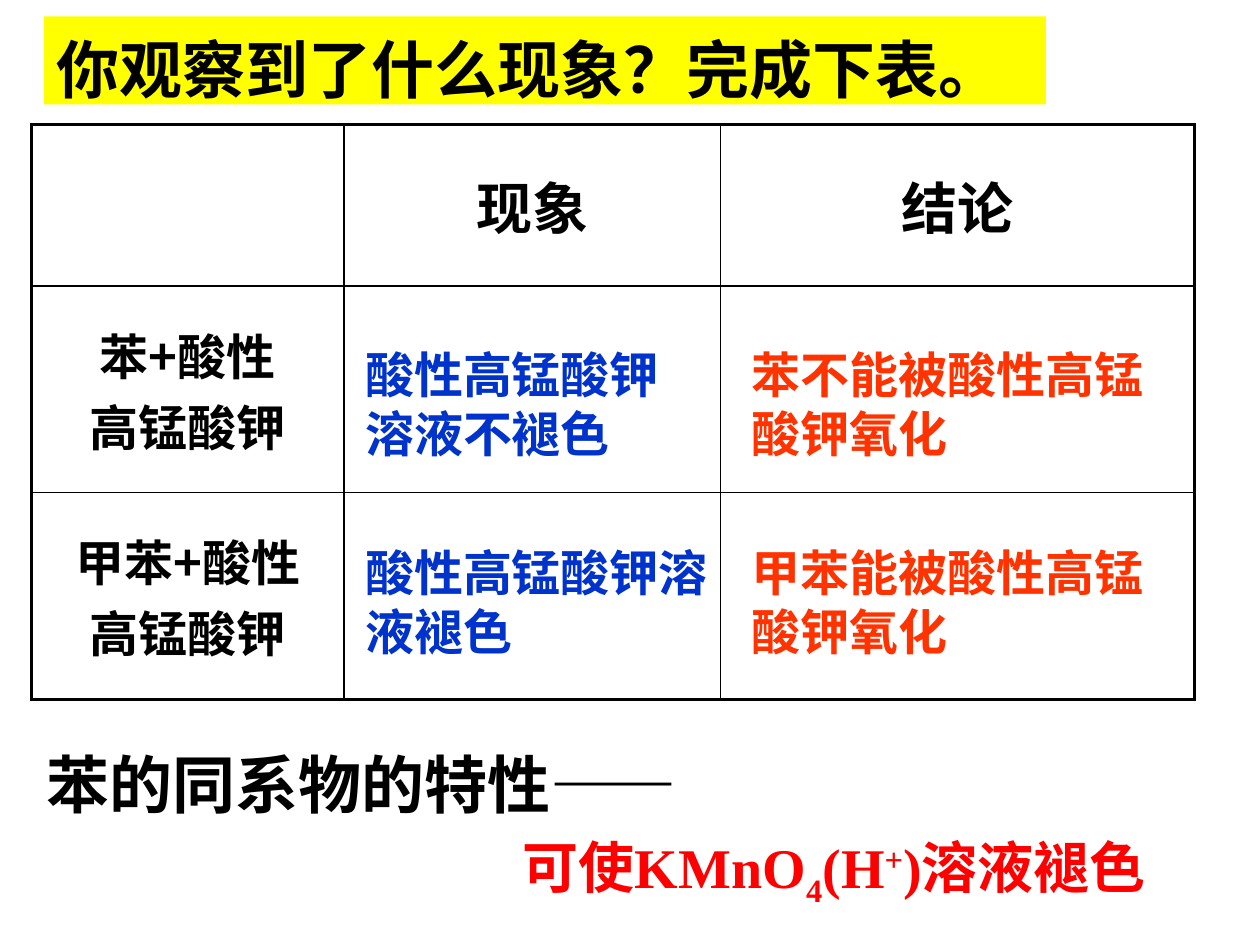
from lxml.etree import SubElement
from pptx import Presentation
from pptx.dml.color import RGBColor
from pptx.enum.shapes import MSO_SHAPE
from pptx.enum.text import MSO_ANCHOR, PP_ALIGN
from pptx.oxml import parse_xml
from pptx.oxml.ns import nsdecls, qn
from pptx.util import Inches, Pt

BLACK = RGBColor(0x00, 0x00, 0x00)
YELLOW = RGBColor(0xFF, 0xFF, 0x00)
BLUE = RGBColor(0x00, 0x33, 0xCC)
ORANGE = RGBColor(0xFF, 0x33, 0x00)
RED = RGBColor(0xFF, 0x00, 0x00)
CHINESE_FONT = "Noto Sans CJK SC"

COLUMN_WIDTHS = (2.48, 2.99, 3.76)
ROW_HEIGHTS = (1.28, 1.64, 1.64)
CELL_TEXTS = {
    (0, 1): ("现象", 32),
    (0, 2): ("结论", 32),
    (1, 0): ("苯+酸性\n高锰酸钾", 28),
    (2, 0): ("甲苯+酸性\n高锰酸钾", 28),
}
# Left, top, width, text, colour
ANSWERS = (
    (2.8, 2.64, 2.95, "酸性高锰酸钾\n溶液不褪色", BLUE),
    (2.8, 4.21, 2.95, "酸性高锰酸钾溶液褪色", BLUE),
    (5.87, 2.64, 3.5, "苯不能被酸性高锰酸钾氧化", ORANGE),
    (5.87, 4.21, 3.5, "甲苯能被酸性高锰酸钾氧化", ORANGE),
)


def write_text(text_frame, text, size=28, font=CHINESE_FONT, color=BLACK,
               align=PP_ALIGN.LEFT, line_spacing=None):
    """Write text given as a string or as (string, baseline percent) parts."""
    parts = [(text, 0)] if isinstance(text, str) else text
    paragraph = text_frame.paragraphs[0]
    for content, baseline in parts:
        for number, line in enumerate(content.split("\n")):
            if number:
                paragraph = text_frame.add_paragraph()
            paragraph.alignment = align
            paragraph.line_spacing = line_spacing
            run = paragraph.add_run()
            run.text = line
            run.font.size = Pt(size)
            run.font.bold = True
            run.font.name = font
            run.font.color.rgb = color
            properties = run._r.get_or_add_rPr()
            SubElement(properties, qn("a:ea")).set("typeface", CHINESE_FONT)
            if baseline:
                properties.set("baseline", str(baseline * 1000))


def fill_box(shape, text, size=28, **text_format):
    """Set tight lines; the top margin makes up for the shortened ascent."""
    text_frame = shape.text_frame
    text_frame.word_wrap = True
    text_frame.vertical_anchor = MSO_ANCHOR.TOP
    text_frame.margin_top = Inches(0.05) + Pt(0.12 * size)
    text_frame.margin_bottom = 0
    write_text(text_frame, text, size=size, line_spacing=Pt(1.2 * size),
               **text_format)


def add_text(slide, left, top, width, height, text, **text_format):
    shape = slide.shapes.add_textbox(
        Inches(left), Inches(top), Inches(width), Inches(height))
    fill_box(shape, text, **text_format)


def add_title(slide):
    banner = slide.shapes.add_shape(
        MSO_SHAPE.RECTANGLE, Inches(0.35), Inches(0.13), Inches(7.95), Inches(0.7))
    banner.shadow.inherit = False
    banner.fill.solid()
    banner.fill.fore_color.rgb = YELLOW
    banner.line.fill.background()
    fill_box(banner, "你观察到了什么现象？完成下表。", size=36, font="Arial")


def set_borders(cell, widths):
    """Insert left, right, top and bottom lines ahead of the cell's fill."""
    properties = cell._tc.get_or_add_tcPr()
    for position, (side, width) in enumerate(zip("LRTB", widths)):
        properties.insert(position, parse_xml(
            f'<a:ln{side} {nsdecls("a")} w="{Pt(width)}"><a:solidFill>'
            f'<a:srgbClr val="{BLACK}"/></a:solidFill></a:ln{side}>'))


def add_observation_table(slide):
    frame = slide.shapes.add_table(
        len(ROW_HEIGHTS), len(COLUMN_WIDTHS), Inches(0.25), Inches(0.99),
        Inches(sum(COLUMN_WIDTHS)), Inches(sum(ROW_HEIGHTS)))
    table = frame.table
    table.first_row = False
    table.horz_banding = False
    for column, width in zip(table.columns, COLUMN_WIDTHS):
        column.width = Inches(width)
    for row, height in zip(table.rows, ROW_HEIGHTS):
        row.height = Inches(height)

    last_row, last_column = len(ROW_HEIGHTS) - 1, len(COLUMN_WIDTHS) - 1
    for row in range(last_row + 1):
        for column in range(last_column + 1):
            cell = table.cell(row, column)
            cell.fill.background()
            cell.vertical_anchor = MSO_ANCHOR.MIDDLE
            # Outer edges are twice as thick as inner ones
            outer = (column == 0, column == last_column, row == 0, row == last_row)
            set_borders(cell, [2 if edge else 1 for edge in outer])
            if (row, column) in CELL_TEXTS:
                text, size = CELL_TEXTS[row, column]
                write_text(cell.text_frame, text, size=size, align=PP_ALIGN.CENTER)


def main():
    presentation = Presentation()
    presentation.slide_width = Inches(10)
    presentation.slide_height = Inches(7.5)
    slide = presentation.slides.add_slide(presentation.slide_layouts[6])

    # Table and heading
    add_observation_table(slide)
    add_title(slide)

    # Answers over the table
    for left, top, width, text, color in ANSWERS:
        add_text(slide, left, top, width, 1.03, text, font="Arial", color=color)

    # Conclusion
    add_text(slide, 0.27, 5.81, 6.14, 0.7, "苯的同系物的特性——",
             size=36, font="Times New Roman")
    formula = (("可使KMnO", 0), ("4", -25), ("(H", 0), ("+", 30), (")溶液褪色", 0))
    add_text(slide, 4.05, 6.58, 5.59, 0.63, formula,
             size=32, font="Times New Roman", color=RED)

    presentation.save("out.pptx")


main()
